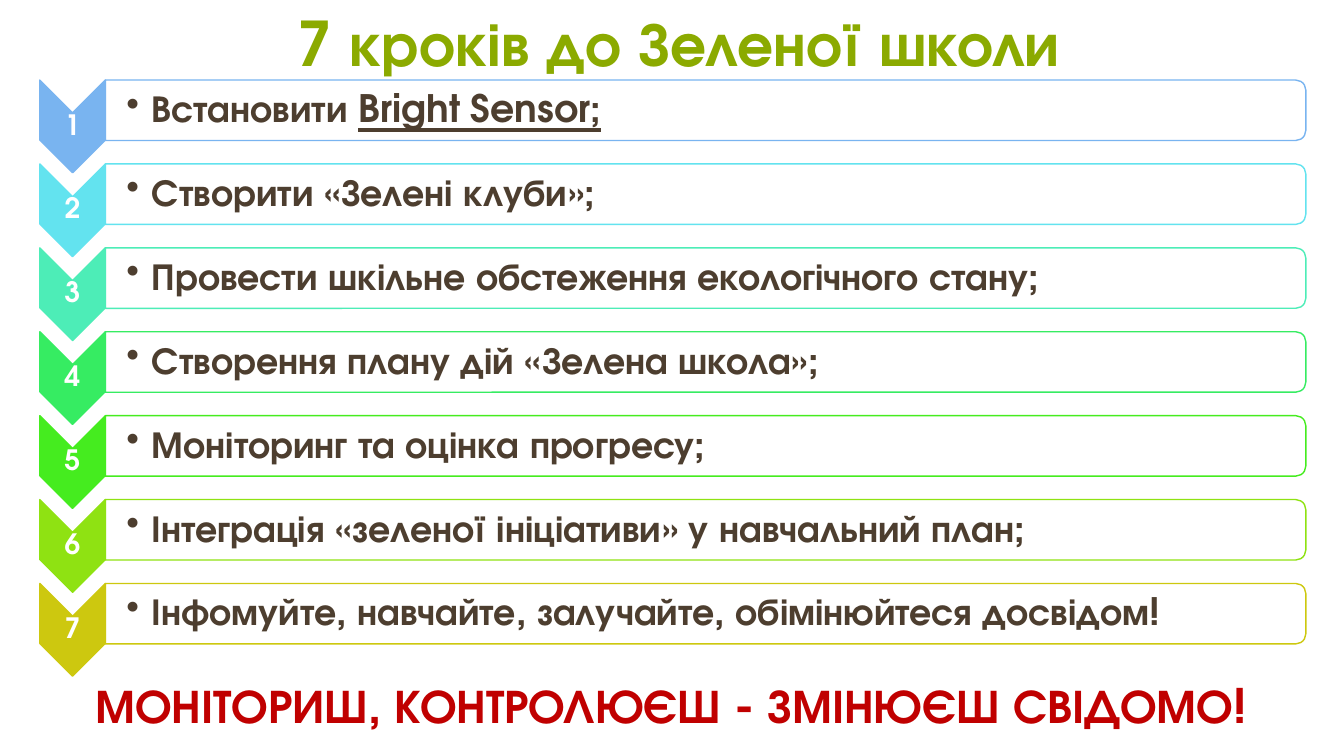
from lxml import etree
from pptx import Presentation
from pptx.dml.color import RGBColor
from pptx.enum.shapes import MSO_SHAPE as SHAPE
from pptx.enum.text import MSO_ANCHOR as ANCHOR, MSO_AUTO_SIZE as AUTO, PP_ALIGN as ALIGN
from pptx.oxml.ns import qn
from pptx.util import Pt

FONT = "TeX Gyre Adventor"
LEFT, TOP, WIDTH, PITCH = 28.44, 57.2, 904.3, 59.93
CHEVRON_W, CHEVRON_H, BAR_H = 46.8, 66.2, 43.2

STEPS = [
    ("79B4F0", [("Встановити ", False), ("Bright Sensor;", True)]),
    ("63E3EF", [("Створити «Зелені клуби»;", False)]),
    ("4DEDB7", [("Провести шкільне обстеження екологічного стану;", False)]),
    ("36EC62", [("Створення плану дій «Зелена школа»;", False)]),
    ("45EC1F", [("Моніторинг та оцінка прогресу;", False)]),
    ("8FE212", [("Інтеграція «зеленої ініціативи» у навчальний план;", False)]),
    ("CDC80F", [("Інфомуйте, навчайте, залучайте, обімінюйтеся досвідом!", False)]),
]


def rgb(value):
    return RGBColor.from_string(value)


def add_rotated(s, kind, x, y, w, h, fill, line):
    sp = s.shapes.add_shape(kind, Pt(x + (w - h) / 2), Pt(y + (h - w) / 2), Pt(h), Pt(w))
    sp.rotation = 90
    sp.shadow.inherit = False
    sp.fill.solid()
    sp.fill.fore_color.rgb = rgb(fill)
    sp.line.color.rgb = rgb(line)
    sp.line.width = Pt(1)
    return sp


def add_text(s, x, y, w, h, runs, size, color, align=ALIGN.CENTER,
             margins=(7.2, 3.6, 7.2, 3.6), anchor=ANCHOR.TOP, wrap=True, spacing=None):
    tf = s.shapes.add_textbox(Pt(x), Pt(y), Pt(w), Pt(h)).text_frame
    tf.word_wrap = wrap
    tf.auto_size = AUTO.NONE
    tf.vertical_anchor = anchor
    tf.margin_left, tf.margin_top, tf.margin_right, tf.margin_bottom = map(Pt, margins)
    p = tf.paragraphs[0]
    p.alignment = align
    if spacing:
        p.line_spacing = spacing
    for text, underlined in runs:
        r = p.add_run()
        r.text = text
        font = r.font
        font.name, font.size, font.bold = FONT, Pt(size), True
        font.color.rgb = rgb(color)
        if underlined:
            font.underline = True
    return p


def add_bullet(p, indent):
    pPr = p._p.get_or_add_pPr()
    pPr.set("marL", str(Pt(indent)))
    pPr.set("indent", str(-Pt(indent)))
    etree.SubElement(pPr, qn("a:buChar")).set("char", "•")


def add_step(s, x, y, w, number, color, runs):
    add_rotated(s, SHAPE.CHEVRON, x, y, CHEVRON_W, CHEVRON_H, color, color)
    add_text(s, x, y + 22.8, CHEVRON_W, 20, [(str(number), False)], 20, "FFFFFF",
             margins=(0.7,) * 4, anchor=ANCHOR.MIDDLE, spacing=0.9)
    bar_x, bar_w = x + CHEVRON_W, w - CHEVRON_W
    bar = add_rotated(s, SHAPE.ROUND_2_SAME_RECTANGLE, bar_x, y, bar_w, BAR_H, "FFFFFF", color)
    fill = bar.fill.fore_color._xFill.find(qn("a:srgbClr"))
    etree.SubElement(fill, qn("a:alpha")).set("val", "90000")
    p = add_text(s, bar_x, y + 2.1, bar_w - 2.1, BAR_H - 4.2, runs, 27, "4D3E2F", ALIGN.LEFT,
                 margins=(15.1, 1.4, 1.4, 1.4), anchor=ANCHOR.MIDDLE, spacing=0.9)
    add_bullet(p, 18)


def add_steps(s, x, y, w):
    for i, (color, runs) in enumerate(STEPS):
        add_step(s, x, y + i * PITCH, w, i + 1, color, runs)


def add_title(s, x, y, w, h):
    add_text(s, x, y, w, h, [("7 кроків до Зеленої школи", False)], 44, "8BAA00", wrap=False)


def add_slogan(s, x, y, w, h):
    add_text(s, x, y, w, h, [("МОНІТОРИШ, КОНТРОЛЮЄШ - ЗМІНЮЄШ СВІДОМО!", False)], 34, "C00000")


def main():
    prs = Presentation()
    prs.slide_width, prs.slide_height = Pt(960), Pt(540)
    s = prs.slides.add_slide(prs.slide_layouts[6])
    add_steps(s, LEFT, TOP, WIDTH)
    add_title(s, 185, 0, 600, 60.5)
    add_slogan(s, 13, 479.5, 933, 48)
    prs.save("out.pptx")


if __name__ == "__main__":
    main()
